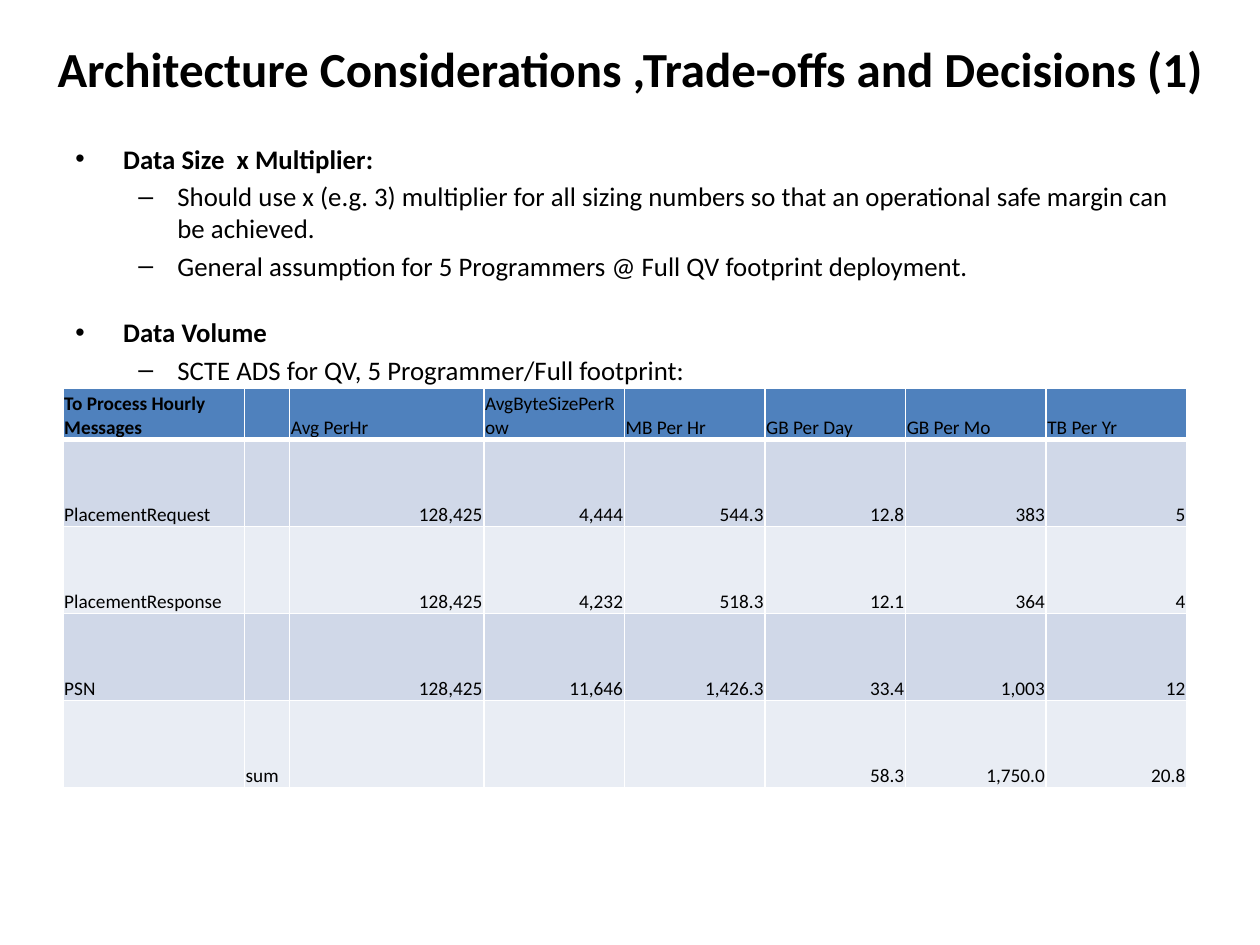
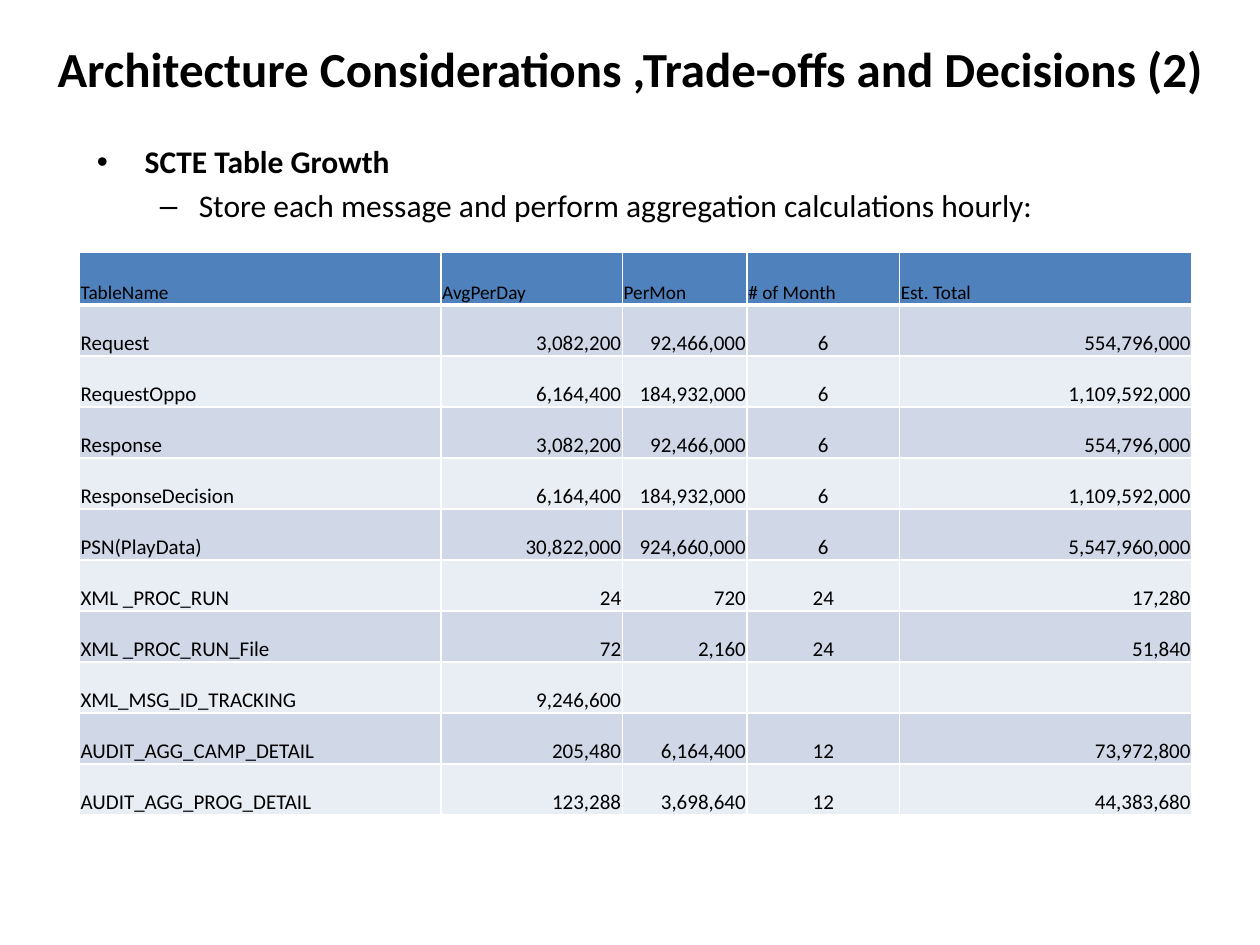
from lxml import etree
from pptx import Presentation
from pptx.dml.color import RGBColor
from pptx.enum.text import MSO_ANCHOR, PP_ALIGN
from pptx.oxml.ns import qn
from pptx.util import Inches, Pt

BLANK_LAYOUT = 6
MIDDLE = MSO_ANCHOR.MIDDLE
BOTTOM = MSO_ANCHOR.BOTTOM
ALIGNMENTS = {"l": PP_ALIGN.LEFT, "c": PP_ALIGN.CENTER, "r": PP_ALIGN.RIGHT}
FONT = "Calibri"
COLORS = {
    "text": "000000",
    "header": "4F81BD",
    "odd": "D0D8E8",
    "even": "E9EDF4",
    "border": "FFFFFF",
}
BULLETS = [("•", 0.38, -0.38), ("–", 0.81, -0.31)]
TITLE = "Architecture Considerations ,Trade-offs and Decisions"

SIZING_POINTS = [
    (0, "Data Size  x Multiplier:"),
    (1, "Should use x (e.g. 3) multiplier for all sizing numbers so that "
        "an operational safe margin can be achieved."),
    (1, "General assumption for 5 Programmers @ Full QV footprint deployment."),
    (0, "Data Volume"),
    (1, "SCTE ADS for QV, 5 Programmer/Full footprint:"),
]
GROWTH_POINTS = [
    (0, "SCTE Table Growth"),
    (1, "Store each message and perform aggregation calculations hourly:"),
]
VOLUME_ROWS = [
    ["To Process Hourly Messages", "", "Avg PerHr", "AvgByteSizePerRow",
     "MB Per Hr", "GB Per Day", "GB Per Mo", "TB Per Yr"],
    ["PlacementRequest", "", "128,425", "4,444", "544.3", "12.8", "383", "5"],
    ["PlacementResponse", "", "128,425", "4,232", "518.3", "12.1", "364", "4"],
    ["PSN", "", "128,425", "11,646", "1,426.3", "33.4", "1,003", "12"],
    ["", "sum", "", "", "", "58.3", "1,750.0", "20.8"],
]
GROWTH_ROWS = [
    ["TableName", "AvgPerDay", "PerMon", "# of Month", "Est. Total"],
    ["Request", "3,082,200", "92,466,000", "6", "554,796,000"],
    ["RequestOppo", "6,164,400", "184,932,000", "6", "1,109,592,000"],
    ["Response", "3,082,200", "92,466,000", "6", "554,796,000"],
    ["ResponseDecision", "6,164,400", "184,932,000", "6", "1,109,592,000"],
    ["PSN(PlayData)", "30,822,000", "924,660,000", "6", "5,547,960,000"],
    ["XML _PROC_RUN", "24", "720", "24", "17,280"],
    ["XML _PROC_RUN_File", "72", "2,160", "24", "51,840"],
    ["XML_MSG_ID_TRACKING", "9,246,600", "", "", ""],
    ["AUDIT_AGG_CAMP_DETAIL", "205,480", "6,164,400", "12", "73,972,800"],
    ["AUDIT_AGG_PROG_DETAIL", "123,288", "3,698,640", "12", "44,383,680"],
]


def add_run(paragraph, text, size, bold=False):
    """Add one run in the shared font and text colour."""
    run = paragraph.add_run()
    run.text = text
    run.font.name = FONT
    run.font.size = Pt(size)
    run.font.bold = bold
    run.font.color.rgb = RGBColor.from_string(COLORS["text"])


def add_text_frame(slide, left, top, width, height):
    """Add a wrapping text box and return its text frame."""
    box = slide.shapes.add_textbox(
        Inches(left), Inches(top), Inches(width), Inches(height))
    box.text_frame.word_wrap = True
    return box.text_frame


def add_titled_slide(presentation, number):
    """Add a blank slide with the numbered shared title."""
    slide = presentation.slides.add_slide(
        presentation.slide_layouts[BLANK_LAYOUT])
    frame = add_text_frame(slide, 0, 0, 10, 1.08)
    frame.vertical_anchor = MIDDLE
    paragraph = frame.paragraphs[0]
    paragraph.alignment = ALIGNMENTS["c"]
    add_run(paragraph, f"{TITLE} ({number})", 28, bold=True)
    return slide


def set_bullet(paragraph, level):
    """Give a paragraph the bullet and hanging indent of its level."""
    character, margin, indent = BULLETS[level]
    paragraph.level = level
    properties = paragraph._p.get_or_add_pPr()
    properties.set("marL", str(Inches(margin)))
    properties.set("indent", str(Inches(indent)))
    etree.SubElement(properties, qn("a:buFont"), typeface="Arial")
    etree.SubElement(properties, qn("a:buChar"), char=character)


def add_bullets(slide, left, height, points, size, section_gap=0):
    """Add a two-level list with bold headings and a gap between sections."""
    frame = add_text_frame(slide, left, 1.08, 9, height)
    for index, (level, text) in enumerate(points):
        paragraph = frame.paragraphs[0] if index == 0 else frame.add_paragraph()
        starts_section = index > 0 and level == 0
        gap = section_gap if starts_section else round(size * 0.2, 1)
        paragraph.space_before = Pt(gap)
        set_bullet(paragraph, level)
        add_run(paragraph, text, size, bold=level == 0)


def set_borders(cell, top, bottom):
    """Draw the four cell borders, with top and bottom widths in points."""
    properties = cell._tc.get_or_add_tcPr()
    for side, width in (("L", 1), ("R", 1), ("T", top), ("B", bottom)):
        line = etree.SubElement(
            properties, qn(f"a:ln{side}"), w=str(Pt(width)))
        fill = etree.SubElement(line, qn("a:solidFill"))
        etree.SubElement(fill, qn("a:srgbClr"), val=COLORS["border"])


def style_cell(cell, row_index):
    """Set the margins, borders and banded fill of a cell."""
    cell.margin_left = cell.margin_right = cell.margin_top = Inches(0.01)
    cell.margin_bottom = 0
    cell.vertical_anchor = BOTTOM
    set_borders(cell, 3 if row_index == 1 else 1, 3 if row_index == 0 else 1)
    band = "header" if row_index == 0 else ("even", "odd")[row_index % 2]
    cell.fill.solid()
    cell.fill.fore_color.rgb = RGBColor.from_string(COLORS[band])


def add_data_table(slide, position, rows, first_widths, header_height,
                   alignments, body_size, bold_cells=()):
    """Add a table whose remaining columns and body rows share the space."""
    left, top, width, height = map(Inches, position)
    column_count = len(rows[0])
    table = slide.shapes.add_table(
        len(rows), column_count, left, top, width, height).table
    remaining = column_count - len(first_widths)
    shared_width = (position[2] - sum(first_widths)) / remaining
    widths = first_widths + [shared_width] * remaining
    for column, column_width in zip(table.columns, widths):
        column.width = Inches(column_width)
    body_height = (position[3] - header_height) / (len(rows) - 1)
    for row_index, values in enumerate(rows):
        is_header = row_index == 0
        table.rows[row_index].height = Inches(
            header_height if is_header else body_height)
        for column_index, value in enumerate(values):
            cell = table.cell(row_index, column_index)
            style_cell(cell, row_index)
            if value:
                paragraph = cell.text_frame.paragraphs[0]
                paragraph.alignment = ALIGNMENTS[
                    "l" if is_header else alignments[column_index]]
                add_run(paragraph, value, 11 if is_header else body_size,
                        bold=(row_index, column_index) in bold_cells)


def main():
    """Build both slides and save the presentation."""
    presentation = Presentation()
    presentation.slide_width = Inches(10)
    presentation.slide_height = Inches(7.5)

    volume_slide = add_titled_slide(presentation, 1)
    add_bullets(volume_slide, 0.5, 1.83, SIZING_POINTS, 15.3, section_gap=19.6)
    add_data_table(
        volume_slide, (0.5, 3.08, 8.92, 3.17), VOLUME_ROWS,
        [1.44, 0.36, 1.54], 0.41, "llrrrrrr", 11, bold_cells=[(0, 0)])

    growth_slide = add_titled_slide(presentation, 2)
    add_bullets(growth_slide, 0.67, 1, GROWTH_POINTS, 18)
    add_data_table(
        growth_slide, (0.63, 2, 8.83, 4.47), GROWTH_ROWS,
        [2.87, 1.44, 0.99, 1.21], 0.42, "lrrcr", 12)

    presentation.save("out.pptx")


if __name__ == "__main__":
    main()
